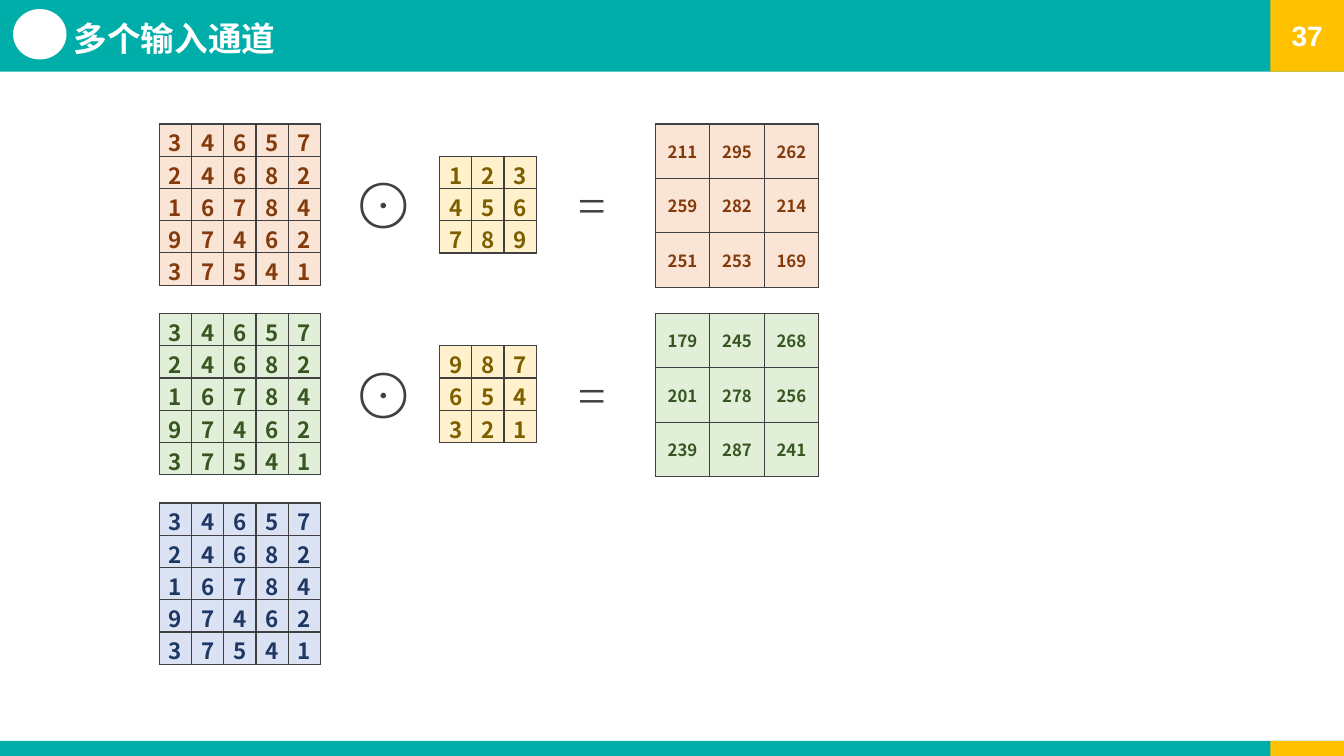
from collections import namedtuple
from lxml.etree import SubElement as Sub
from pptx import Presentation
from pptx.dml.color import RGBColor as Rgb
from pptx.enum.shapes import MSO_SHAPE as Kind
from pptx.enum.text import MSO_ANCHOR as Anchor, PP_ALIGN as Align
from pptx.oxml.ns import qn
from pptx.util import Inches, Pt

Box = namedtuple("Box", "x y w h")
Tint = namedtuple("Tint", "fill ink")


class Theme:
    teal, gold, white, line = "00AEA9", "FFC000", "FFFFFF", "404040"
    red = Tint("FAE4D5", "843B0C")
    green = Tint("E1EFD9", "385622")
    blue = Tint("DAE2F3", "1F3863")
    sand = Tint("FFF1CC", "7E5F00")
    sans, serif, page = "Noto Sans CJK SC", "Times New Roman", "Arial"
    title, number, cell, sum, sign = 24, 20, 16, 12, 36


WIDE, HIGH = 13.33, 7.5
SIDE = 12.6 / WIDE          # share of the width left of the gold end
UNIT = 0.32                 # side of an input or kernel cell
LEFT, TOP, STEP = 1.58, 1.23, 1.88
INPUT = ["34657", "24682", "16784", "97462", "37541"]
ROWS = [
    (Theme.red, ["123", "456", "789"],
     [[211, 295, 262], [259, 282, 214], [251, 253, 169]]),
    (Theme.green, ["987", "654", "321"],
     [[179, 245, 268], [201, 278, 256], [239, 287, 241]]),
    (Theme.blue, None, None),
]


def inch(box):
    return [Inches(v) for v in box]


def assign(obj, **values):
    for name, value in values.items():
        setattr(obj, name, value)


def write(frame, text, size, color, name, bold=True, align=Align.CENTER,
          anchor=Anchor.MIDDLE, inset=(0, 0, 0, 0)):
    sides = ("left", "top", "right", "bottom")
    pads = {f"margin_{s}": Inches(v) for s, v in zip(sides, inset)}
    assign(frame, word_wrap=True, vertical_anchor=anchor, **pads)
    para = frame.paragraphs[0]
    para.alignment = align
    run = para.add_run()
    run.text = text
    assign(run.font, name=name, size=Pt(size), bold=bold)
    run.font.color.rgb = Rgb.from_string(color)
    Sub(run.font._element, qn("a:ea"), typeface=name)
    return para


def block(slide, box, color, kind=Kind.RECTANGLE):
    shape = slide.shapes.add_shape(kind, *inch(box))
    shape.shadow.inherit = False
    shape.fill.solid()
    shape.fill.fore_color.rgb = Rgb.from_string(color)
    shape.line.fill.background()
    return shape


def band(slide, box):
    """Teal strip with a gold end, which is returned."""
    block(slide, box, Theme.teal)
    cut = box.w * SIDE
    return block(slide, Box(box.x + cut, box.y, box.w - cut, box.h), Theme.gold)


def header(slide, box, title, number):
    end = band(slide, box)
    write(end.text_frame, number, Theme.number, Theme.white, Theme.page)
    block(slide, Box(box.x + 0.13, box.y + 0.09, 0.53, 0.5), Theme.white, Kind.OVAL)
    area = slide.shapes.add_textbox(*inch(Box(box.x + 0.73, box.y + 0.08, 9.55, 0.5)))
    para = write(area.text_frame, title, Theme.title, Theme.white, Theme.sans,
                 align=Align.LEFT, anchor=Anchor.BOTTOM)
    para.line_spacing = 0.9


def frame(cell):
    """Draw the four borders of a cell."""
    props = cell._tc.get_or_add_tcPr()
    for side in ("lnL", "lnR", "lnT", "lnB"):
        line = Sub(props, qn(f"a:{side}"), w=str(Pt(1)))
        Sub(Sub(line, qn("a:solidFill")), qn("a:srgbClr"), val=Theme.line)


def matrix(slide, box, data, tint, size, anchor, pad):
    rows, cols = len(data), len(data[0])
    table = slide.shapes.add_table(rows, cols, *inch(box)).table
    assign(table, first_row=False, horz_banding=False)
    for col in table.columns:
        col.width = Inches(box.w / cols)
    for row, values in zip(table.rows, data):
        row.height = Inches(box.h / rows)
        for cell, value in zip(row.cells, values):
            frame(cell)
            cell.fill.solid()
            cell.fill.fore_color.rgb = Rgb.from_string(tint.fill)
            write(cell.text_frame, str(value), size, tint.ink, Theme.sans)
            assign(cell, vertical_anchor=anchor, margin_left=0, margin_right=0,
                   margin_top=Inches(pad), margin_bottom=0)


def grid(slide, x, y, data, tint):
    """Matrix of small unit cells."""
    box = Box(x, y, UNIT * len(data[0]), UNIT * len(data))
    matrix(slide, box, data, tint, Theme.cell, Anchor.TOP, 0.02)


def sign(slide, box, text):
    area = slide.shapes.add_textbox(*inch(box))
    write(area.text_frame, text, Theme.sign, Theme.line, Theme.serif, bold=False,
          align=Align.LEFT, anchor=Anchor.TOP, inset=(0.01, 0.02, 0, 0))


def channel(slide, box, tint, kernel, result):
    """One line: input, and its product with a kernel when there is one."""
    grid(slide, box.x, box.y, INPUT, tint)
    if not kernel:
        return
    grid(slide, box.x + 2.78, box.y + UNIT, kernel, Theme.sand)
    for shift, width, text in ((1.97, 0.46, "⨀"), (4.14, 0.4, "=")):
        sign(slide, Box(box.x + shift, box.y + 0.47, width, 0.63), text)
    area = Box(box.x + box.w - box.h, box.y, box.h, box.h)
    matrix(slide, area, result, tint, Theme.sum, Anchor.MIDDLE, 0)


def main():
    deck = Presentation()
    assign(deck, slide_width=Inches(WIDE), slide_height=Inches(HIGH))
    slide = deck.slides.add_slide(deck.slide_layouts[6])
    band(slide, Box(0, HIGH * 0.98, WIDE, HIGH * 0.02))
    header(slide, Box(0, 0, WIDE, 0.71), "多个输入通道", "37")
    for i, row in enumerate(ROWS):
        channel(slide, Box(LEFT, TOP + i * STEP, 6.54, 1.62), *row)
    deck.save("out.pptx")


if __name__ == "__main__":
    main()
